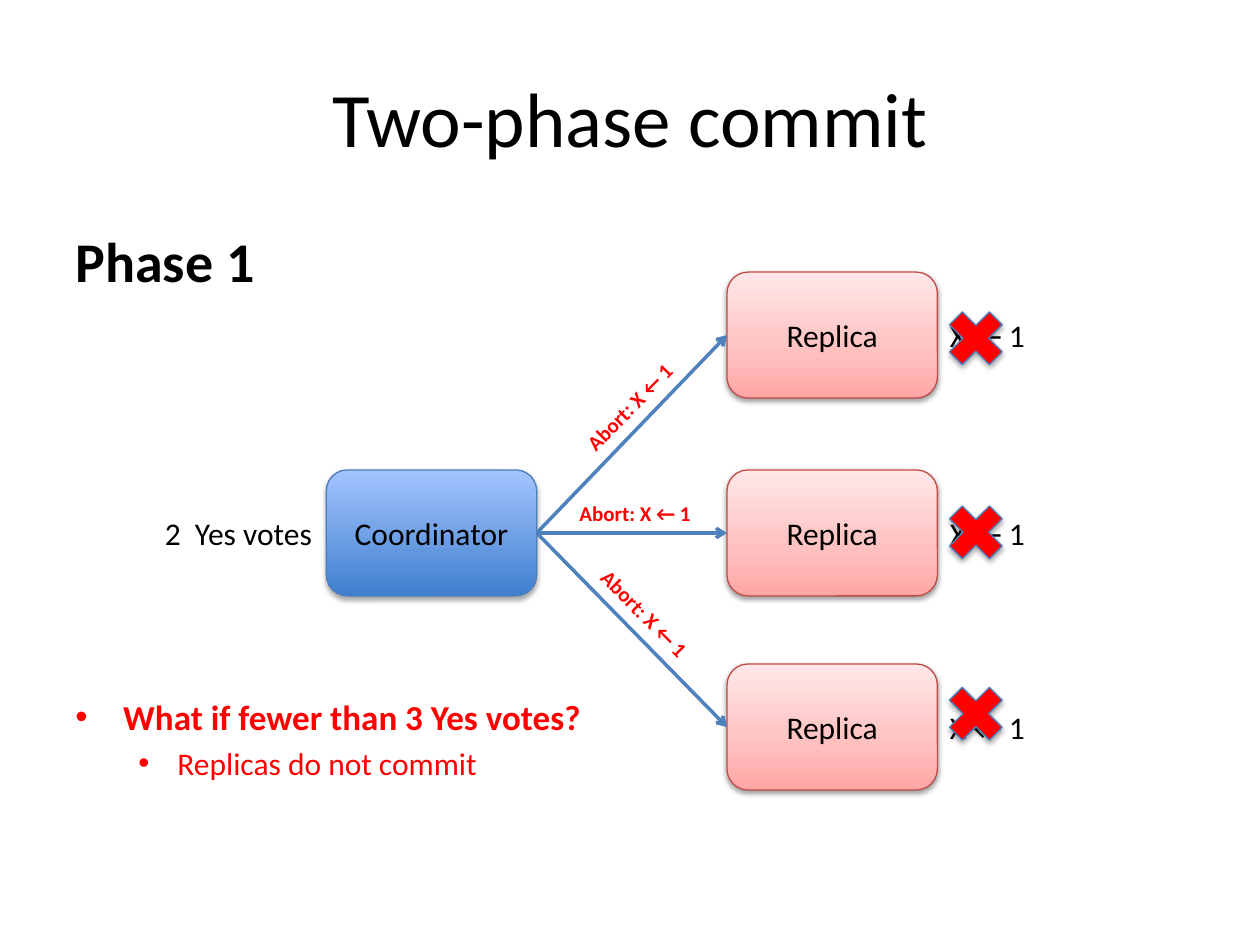
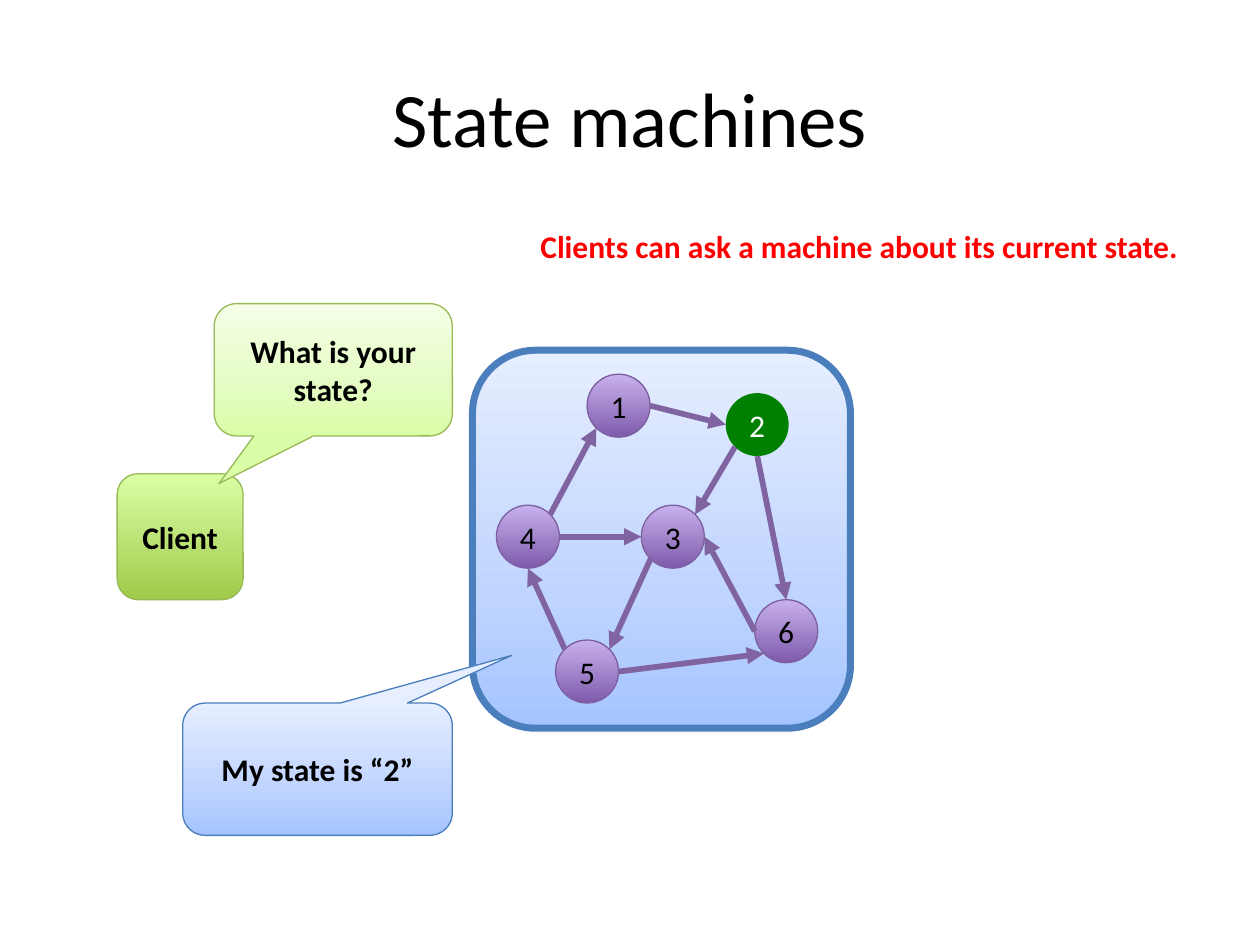
import math

import pptx
import pptx.dml.color
import pptx.enum.shapes
import pptx.enum.text
import pptx.oxml
import pptx.oxml.ns
import pptx.util
from lxml import etree

Inches = pptx.util.Inches
Pt = pptx.util.Pt
qn = pptx.oxml.ns.qn
SHAPES = pptx.enum.shapes.MSO_SHAPE
ALIGN = pptx.enum.text.PP_ALIGN
ANCHOR = pptx.enum.text.MSO_ANCHOR

FONT = "Calibri"
COLORS = {
    "black": "000000", "white": "FFFFFF", "red": "FF0000", "green": "008000",
    "blue_line": "4B7EBC", "red_line": "BF4C48", "purple_line": "7D60A0",
    "green_line": "98B955", "message": "4F81BD", "transition": "8064A2",
}
GRADIENTS = {
    "coordinator": {0: "3F80CE", 100: "A4C4FF"},
    "replica": {0: "FFA6A5", 35: "FFC0BF", 100: "FFE7E7"},
    "machine": {0: "A4C4FF", 35: "BFD4FF", 100: "E6EEFF"},
    "state": {0: "7F5BAB", 100: "C8B0ED"},
    "client": {0: "A0CA4A", 100: "DAFFA5"},
    "question": {0: "DAFDA7", 35: "E4FCC2", 100: "F5FFE7"},
}
BOX_WIDTH, BOX_HEIGHT = 1.67, 1
STATE_SIZE = 0.5
STATES = {
    "4": (0.19, 1.23), "5": (0.66, 2.3), "3": (1.34, 1.23),
    "2": (2.01, 0.34), "6": (2.24, 1.98), "1": (0.91, 0.19),
}
DIRECTIONS = {"E": 0, "SE": 45, "S": 90, "SW": 135, "W": 180, "NW": 225, "N": 270, "NE": 315}
TRANSITIONS = [
    ("4", "NE", "1", "SW"), ("2", "S", "6", "N"), ("5", "E", "6", "SW"),
    ("2", "SW", "3", "NE"), ("4", "E", "3", "W"), ("6", "W", "3", "E"),
    ("3", "SW", "5", "NE"), ("5", "NW", "4", "S"), ("1", "E", "2", "W"),
]


def rgb(name):
    """Return the named colour."""
    return pptx.dml.color.RGBColor.from_string(COLORS[name])


def add_node(parent, tag, **attributes):
    """Append a DrawingML element and return it."""
    return etree.SubElement(parent, qn(tag), {key: str(value) for key, value in attributes.items()})


def write(shape, text, size=18, color="black", bold=False, align=ALIGN.LEFT,
          bullet_indent=None, hanging=0, space_before=0):
    """Write one paragraph into a shape, after any text already there."""
    frame = shape.text_frame
    paragraph = frame.add_paragraph() if frame.text else frame.paragraphs[0]
    paragraph.alignment = align
    paragraph.space_before = Pt(space_before)
    run = paragraph.add_run()
    run.text = text
    run.font.name, run.font.size, run.font.bold = FONT, Pt(size), bold
    run.font.color.rgb = rgb(color)
    if bullet_indent is not None:
        properties = paragraph._p.get_or_add_pPr()
        properties.set("marL", str(Inches(bullet_indent)))
        properties.set("indent", str(-Inches(hanging)))
        add_node(properties, "a:buFont", typeface="Arial")
        add_node(properties, "a:buChar", char="•")


def add_text(slide, left, top, width, height, text, wrap=False, rotation=0, **text_format):
    """Add a text box holding one paragraph."""
    shape = slide.shapes.add_textbox(Inches(left), Inches(top), Inches(width), Inches(height))
    shape.text_frame.word_wrap = wrap
    shape.rotation = rotation
    write(shape, text, **text_format)
    return shape


def fill_gradient(shape, stops):
    """Fill a shape with a gradient that rises from the bottom."""
    shape.fill.gradient()
    shape.fill.gradient_angle = 90
    stop_list = shape._element.spPr.find(qn("a:gradFill")).find(qn("a:gsLst"))
    for stop in list(stop_list):
        stop_list.remove(stop)
    for position, color in stops.items():
        add_node(add_node(stop_list, "a:gs", pos=position * 1000), "a:srgbClr", val=color)


def add_shadow(shape, opacity, distance):
    """Give a shape a soft shadow straight below it."""
    effects = shape._element.spPr.find(qn("a:effectLst"))
    shadow = add_node(effects, "a:outerShdw", blurRad=Pt(3.1), dist=Pt(distance),
                      dir=5400000, rotWithShape=0)
    color = add_node(shadow, "a:srgbClr", val=COLORS["black"])
    add_node(color, "a:alpha", val=opacity * 1000)


def add_box(slide, kind, left, top, width, height, fill, line=None, line_width=0.75,
            text=None, adjustments=(), **text_format):
    """Add a shape with a gradient or plain fill and centred text."""
    shape = slide.shapes.add_shape(kind, Inches(left), Inches(top), Inches(width), Inches(height))
    shape.shadow.inherit = False
    for index, value in enumerate(adjustments):
        shape.adjustments[index] = value
    if fill in GRADIENTS:
        fill_gradient(shape, GRADIENTS[fill])
    else:
        shape.fill.solid()
        shape.fill.fore_color.rgb = rgb(fill)
    if line:
        shape.line.color.rgb = rgb(line)
        shape.line.width = Pt(line_width)
    else:
        shape.line.fill.background()
    if text:
        shape.text_frame.word_wrap = True
        shape.text_frame.vertical_anchor = ANCHOR.MIDDLE
        write(shape, text, align=ALIGN.CENTER, **text_format)
    return shape


def add_arrow(slide, start, end, color, width, head):
    """Draw a straight arrow between two points."""
    points = [Inches(value) for value in (*start, *end)]
    arrow = slide.shapes.add_connector(pptx.enum.shapes.MSO_CONNECTOR.STRAIGHT, *points)
    arrow.line.color.rgb = rgb(color)
    arrow.line.width = Pt(width)
    add_node(arrow.line._get_or_add_ln(), "a:tailEnd", type=head)
    add_node(arrow._element.spPr, "a:effectLst")


def add_titled_slide(presentation, title):
    """Add a title-only slide and format its title."""
    slide = presentation.slides.add_slide(presentation.slide_layouts[5])
    shape = slide.shapes.title
    shape.left, shape.top, shape.width, shape.height = map(Inches, (0.5, 0.3, 9, 1.25))
    shape.text_frame.vertical_anchor = ANCHOR.MIDDLE
    write(shape, title, size=44, align=ALIGN.CENTER)
    return slide


def add_coordinator(slide, left, top):
    """Place the coordinator and its vote count."""
    coordinator = add_box(slide, SHAPES.ROUNDED_RECTANGLE, left, top, BOX_WIDTH, BOX_HEIGHT,
                          "coordinator", "blue_line", text="Coordinator")
    add_shadow(coordinator, 35, 1.8)
    add_text(slide, left - 1.38, top + 0.3, 1.38, 0.4, "2  Yes votes")


def add_replica(slide, left, top, cross_offset):
    """Place a replica and its crossed-out write."""
    replica = add_box(slide, SHAPES.ROUNDED_RECTANGLE, left, top, BOX_WIDTH, BOX_HEIGHT,
                      "replica", "red_line", text="Replica")
    add_shadow(replica, 38, 1.6)
    right = left + BOX_WIDTH
    add_text(slide, right, top + 0.3, 0.82, 0.4, "X ← 1")
    cross = add_box(slide, SHAPES.MATH_MULTIPLY, right, top + cross_offset, 0.61, 0.61,
                    "red", "blue_line")
    add_shadow(cross, 35, 1.8)


def add_abort(slide, start, end, label_left, label_top, rotation):
    """Draw an abort message with its label along the arrow."""
    add_arrow(slide, start, end, "message", 2, "arrow")
    add_text(slide, label_left, label_top, 1.11, 0.3, "Abort: X ← 1",
             rotation=rotation, size=12, color="red", bold=True)


def build_commit_slide(presentation):
    """Build the two-phase commit slide."""
    slide = add_titled_slide(presentation, "Two-phase commit")
    add_text(slide, 0.5, 1.75, 5.27, 0.65, "Phase 1", wrap=True, size=32, bold=True)
    notes = add_text(slide, 0.5, 5.47, 5.27, 0.8, "What if fewer than 3 Yes votes?", wrap=True,
                     size=20, color="red", bold=True, bullet_indent=0.38, hanging=0.38)
    write(notes, "Replicas do not commit", color="red", bullet_indent=0.81, hanging=0.31,
          space_before=3.6)
    coordinator_left, coordinator_top, replica_left = 2.59, 3.73, 5.77
    add_coordinator(slide, coordinator_left, coordinator_top)
    start = (coordinator_left + BOX_WIDTH, coordinator_top + BOX_HEIGHT / 2)
    for top, cross_offset, *label in [(2.16, 0.22, 4.45, 3.07, 314.5),
                                      (3.73, 0.19, 4.5, 3.92, 0),
                                      (5.27, 0.09, 4.57, 4.73, 45.1)]:
        add_replica(slide, replica_left, top, cross_offset)
        add_abort(slide, start, (replica_left, top + BOX_HEIGHT / 2), *label)


def add_machine(slide, left, top, current):
    """Place the state machine with its current state marked."""
    add_box(slide, SHAPES.ROUNDED_RECTANGLE, left, top, 3, 3, "machine", "blue_line", 4)
    radius = STATE_SIZE / 2

    def rim(state, direction):
        """Return the point of a state's rim in a compass direction."""
        x, y = STATES[state]
        angle = math.radians(DIRECTIONS[direction])
        return (left + x + radius * (1 + math.cos(angle)),
                top + y + radius * (1 + math.sin(angle)))

    for state, (x, y) in STATES.items():
        fill, line, color = (("green", None, "white") if state == current
                             else ("state", "purple_line", "black"))
        add_box(slide, SHAPES.OVAL, left + x, top + y, STATE_SIZE, STATE_SIZE, fill, line,
                text=state, color=color)
    for source, leaving, target, entering in TRANSITIONS:
        add_arrow(slide, rim(source, leaving), rim(target, entering),
                  "transition", 3.25, "triangle")


def add_dialogue(slide, left, top):
    """Place the client, its question and the machine's answer."""
    add_box(slide, SHAPES.ROUNDED_RECTANGLE, left, top + 1.35, 1, 1, "client", "green_line",
            text="Client", bold=True)
    callout = SHAPES.ROUNDED_RECTANGULAR_CALLOUT
    add_box(slide, callout, left + 0.77, top, 1.89, 1.05, "question", "green_line",
            text="What is your state?", bold=True, adjustments=(-0.48, 0.86, 0.17))
    add_box(slide, callout, left + 0.52, top + 3.17, 2.14, 1.05, "machine", "blue_line",
            text="My state is “2”", bold=True, adjustments=(0.72, -0.86, 0.17))


def build_machine_slide(presentation):
    """Build the state machine slide."""
    slide = add_titled_slide(presentation, "State machines")
    add_machine(slide, 3.75, 2.78, current="2")
    add_dialogue(slide, 0.93, 2.41)
    add_text(slide, 4.19, 1.75, 5.31, 0.4, "Clients can ask a machine about its current state.",
             color="red", bold=True)


def main():
    """Build and save the presentation."""
    presentation = pptx.Presentation()
    presentation.slide_width, presentation.slide_height = Inches(10), Inches(7.5)
    build_commit_slide(presentation)
    build_machine_slide(presentation)
    presentation.save("out.pptx")


if __name__ == "__main__":
    main()
